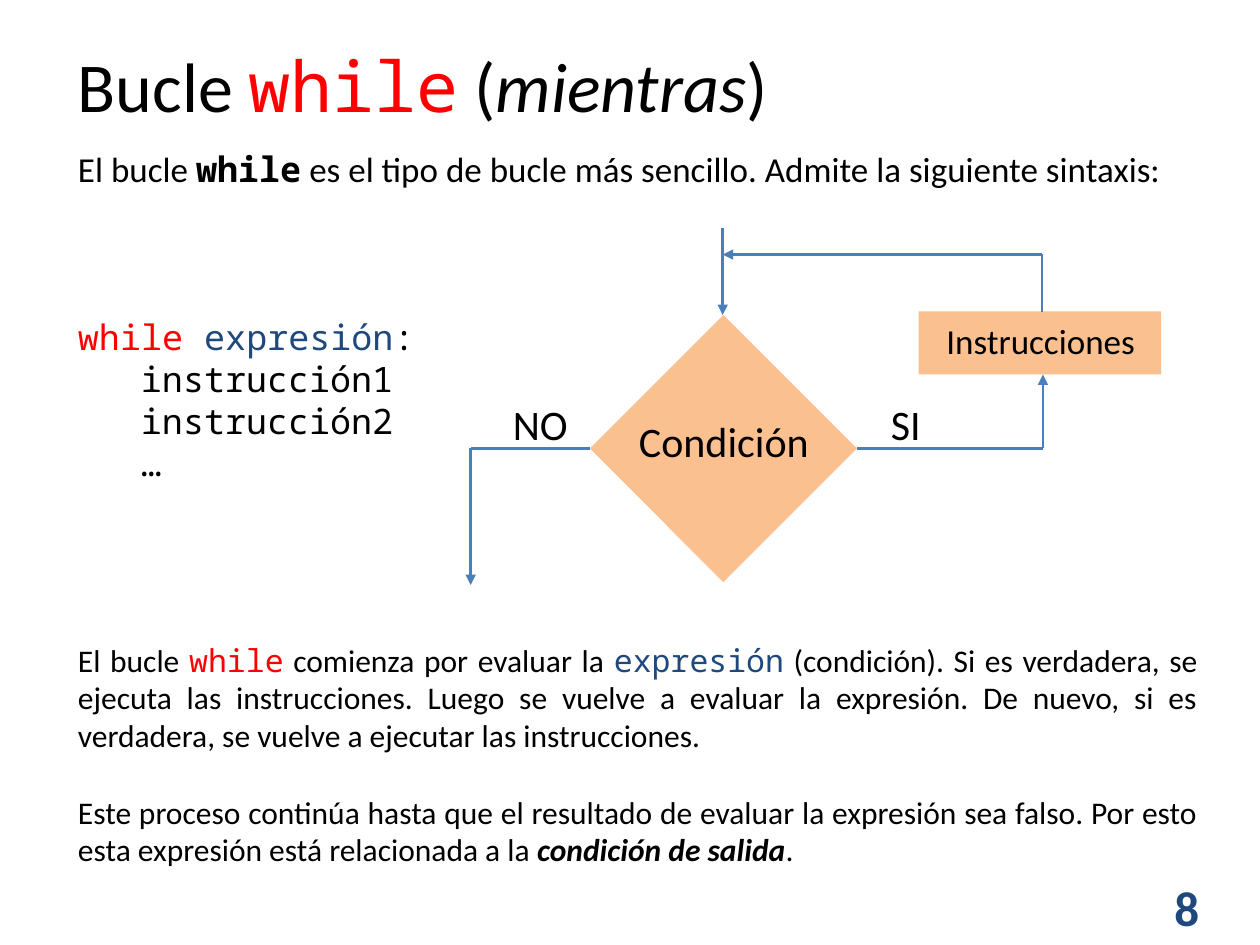
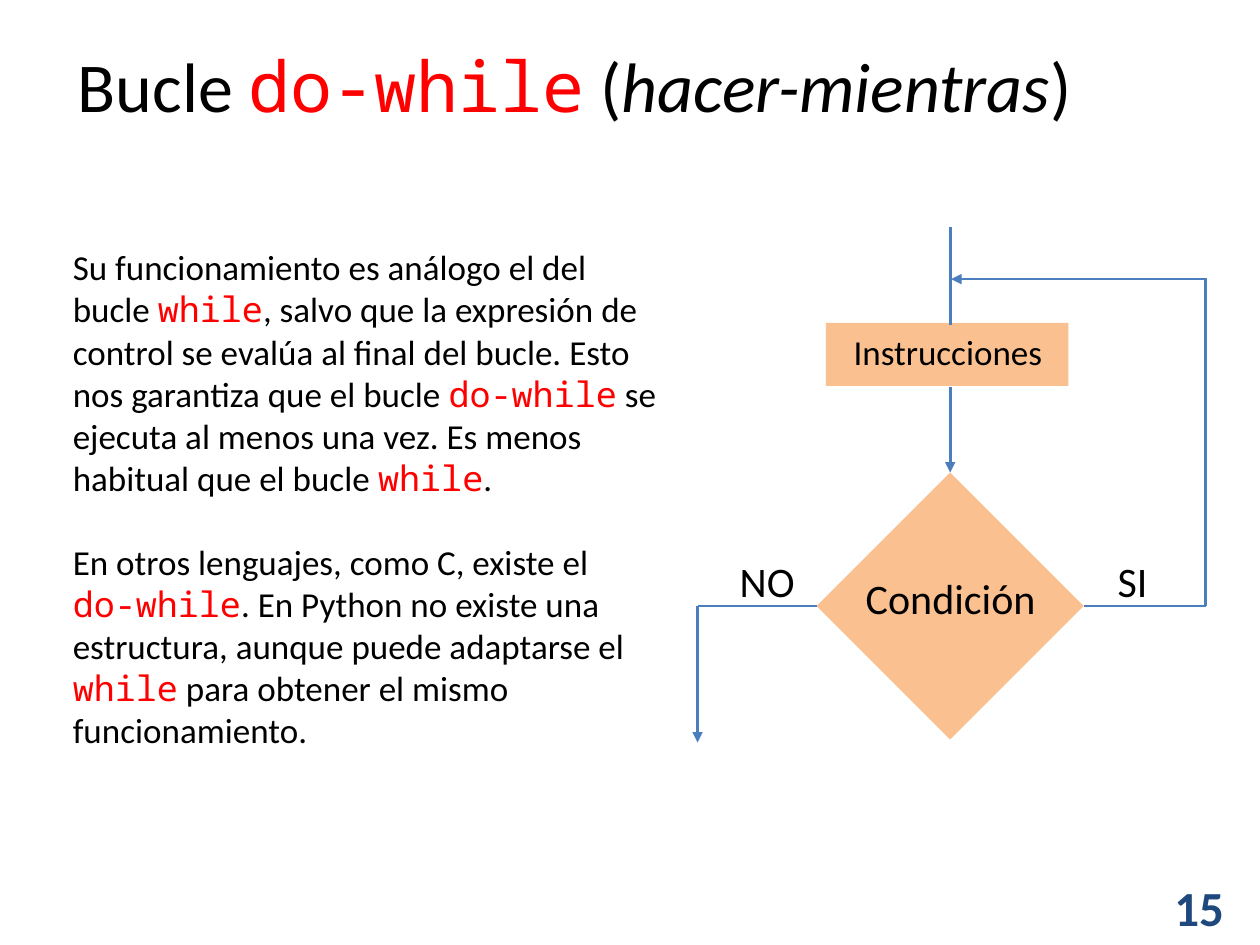
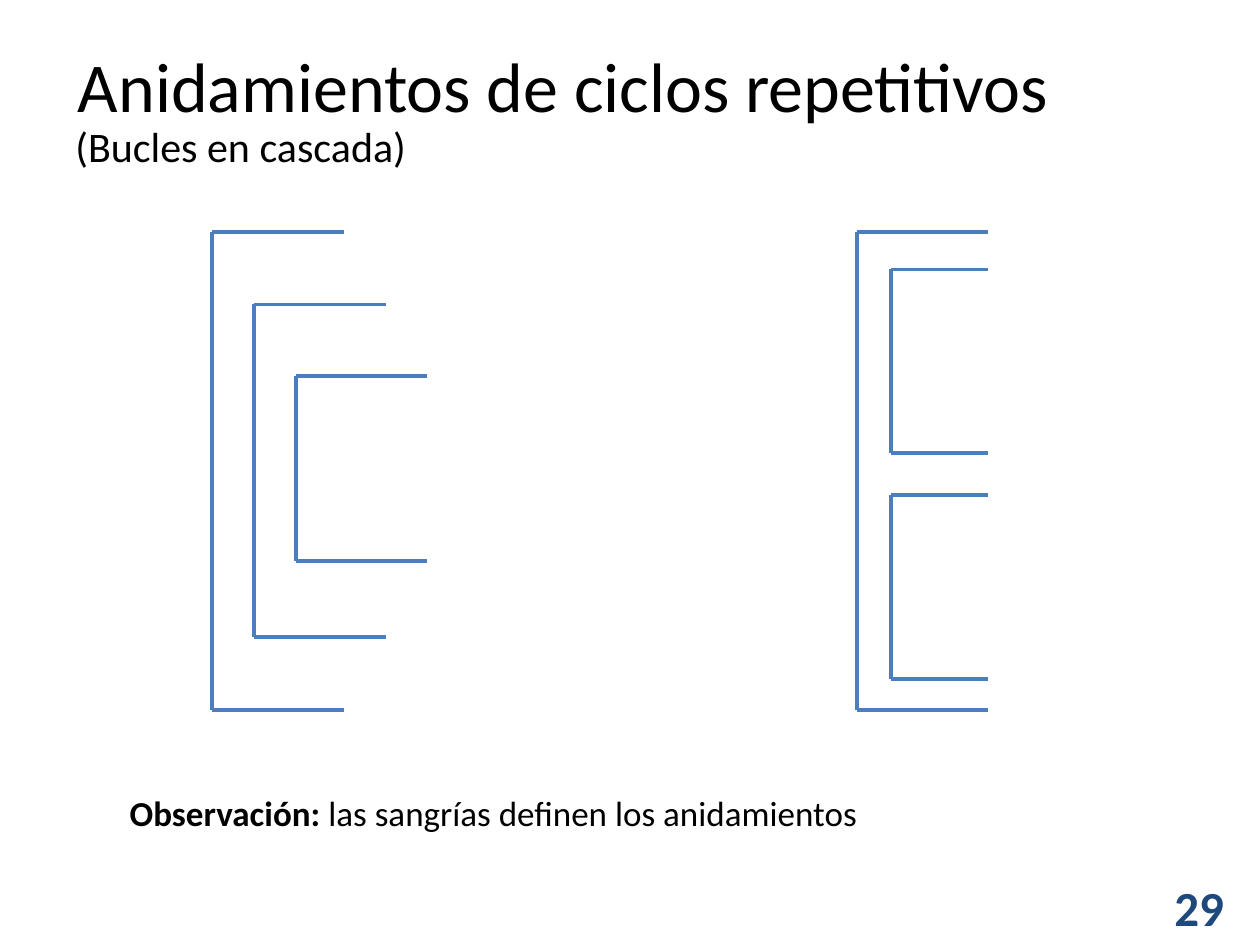
"""Build three slides about while loops, do-while loops and nested loops."""
from lxml import etree
from pptx import Presentation
from pptx import util as u
from pptx.dml.color import RGBColor
from pptx.enum import shapes, text
from pptx.oxml.ns import qn

Pt = u.Pt
COLORS = {"black": "000000", "red": "FF0000", "navy": "1F497D",
          "peach": "FAC090", "line": "4B7EBC"}
SANS, MONO = "Calibri", "Noto Sans Mono"
STYLES = {
    "plain": ("black", {"name": SANS}),
    "bold": ("black", {"name": SANS, "bold": True}),
    "italic": ("black", {"name": SANS, "italic": True}),
    "strong": ("black", {"name": SANS, "bold": True, "italic": True}),
    "code": ("black", {"name": MONO}),
    "codebold": ("black", {"name": MONO, "bold": True}),
    "keyword": ("red", {"name": MONO}),
    "expr": ("navy", {"name": MONO}),
    "number": ("navy", {"name": SANS, "bold": True}),
}


def add_text(s, box, paras, wrap=True):
    """Add a text box; each paragraph is (size, runs, format, left margin)."""
    tf = s.shapes.add_textbox(*map(Pt, box)).text_frame
    tf.word_wrap = wrap
    tf.auto_size = text.MSO_AUTO_SIZE.SHAPE_TO_FIT_TEXT
    for i, (size, runs, fmt, margin) in enumerate(paras):
        p = tf.add_paragraph() if i else tf.paragraphs[0]
        for key, value in fmt.items():
            setattr(p, key, value)
        if margin:
            p._p.get_or_add_pPr().set("marL", str(Pt(margin)))
        for words, style in runs:
            r = p.add_run()
            r.text = words
            color, font = STYLES[style]
            for key, value in font.items():
                setattr(r.font, key, value)
            r.font.size = Pt(size)
            r.font.color.rgb = RGBColor.from_string(COLORS[color])


def add_line(s, ends, width=1.5, arrow=False):
    """Draw a straight line, with an arrowhead at its end if asked."""
    cx = s.shapes.add_connector(shapes.MSO_CONNECTOR.STRAIGHT, *map(Pt, ends))
    cx.line.width = Pt(width)
    cx.line.color.rgb = RGBColor.from_string(COLORS["line"])
    if arrow:
        etree.SubElement(cx.line._get_or_add_ln(), qn("a:tailEnd"), type="triangle")
    etree.SubElement(cx._element.spPr, qn("a:effectLst"))


prs = Presentation()
prs.slide_width, prs.slide_height = Pt(720), Pt(540)

titles = [
    ("8", [("Bucle ", "plain"), ("while", "keyword"), (" (", "plain"),
           ("mientras", "italic"), (")", "plain")]),
    ("15", [("Bucle ", "plain"), ("do-while", "keyword"), (" (", "plain"),
            ("hacer-mientras", "italic"), (")", "plain")]),
    ("29", [("Anidamientos de ciclos repetitivos", "plain")]),
]
slides = []
for number, title in titles:
    s = prs.slides.add_slide(prs.slide_layouts[6])
    add_text(s, (664, 498, 51, 41), [(28, [(number, "number")], {}, 0)])
    add_text(s, (37.5, 21, 654, 55.5), [(40, title, {}, 0)])
    slides.append(s)
while_slide, do_slide, nested_slide = slides

justify = text.PP_ALIGN.JUSTIFY
add_text(while_slide, (37.5, 80.5, 654, 422), [
    (20, [("El bucle ", "plain"), ("while", "codebold"),
          (" es el tipo de bucle más sencillo. Admite la siguiente sintaxis:", "plain")], {}, 0),
    (20, [("while ", "keyword"), ("expresión", "expr"), (":", "code")],
     {"space_before": Pt(72)}, 0),
    *[(20, [(words, "code")], {}, 36) for words in ("instrucción1", "instrucción2", "…")],
    (18, [("El bucle ", "plain"), ("while", "keyword"),
          (" comienza por evaluar la ", "plain"), ("expresión", "expr"),
          (" (condición). Si es verdadera, se ejecuta las instrucciones. Luego se vuelve a "
           "evaluar la expresión. De nuevo, si es verdadera, se vuelve a ejecutar las "
           "instrucciones.", "plain")],
     {"space_before": Pt(90), "alignment": justify}, 0),
    (18, [("Este proceso continúa hasta que el resultado de evaluar la expresión sea falso. "
           "Por esto esta expresión está relacionada a la ", "plain"),
          ("condición de salida", "strong"), (".", "plain")],
     {"space_before": Pt(22), "alignment": justify}, 0),
])

add_text(do_slide, (34.5, 137, 348, 298), [
    (20, [("Su funcionamiento es análogo el del bucle ", "plain"), ("while", "keyword"),
          (", salvo que la expresión de control se evalúa al final del bucle. Esto nos "
           "garantiza que el bucle ", "plain"), ("do-while", "keyword"),
          (" se ejecuta al menos una vez. Es menos habitual que el bucle ", "plain"),
          ("while", "keyword"), (".", "plain")], {}, 0),
    (20, [("En otros lenguajes, como C, existe el ", "plain"), ("do-while", "keyword"),
          (". En Python no existe una estructura, aunque puede adaptarse el ", "plain"),
          ("while", "keyword"), (" para obtener el mismo funcionamiento.", "plain")],
     {"space_before": Pt(24)}, 0),
])

DIAMOND, BOX_W, BOX_H = 152.6, 138.5, 36
HALF = DIAMOND / 2
flows = [
    (while_slide, (337, 180), (525, 178), 596,
     [((413, 130.5, 413, 180), True), ((596, 256.3, 596, 214), True),
      ((595.5, 178.5, 595.5, 145), False), ((595.5, 145.5, 413, 145.5), True)]),
    (do_slide, (466.6, 270), (472, 184.5), 689,
     [((543, 221, 543, 270), True), ((689, 346.3, 689, 159), False),
      ((689, 159.5, 543.5, 159.5), True), ((543, 185.5, 543, 130), False)]),
]
for s, (x, y), (box_x, box_y), right, links in flows:
    mid = y + HALF
    for kind, box in ((shapes.MSO_SHAPE.DIAMOND, (x, y, DIAMOND, DIAMOND)),
                      (shapes.MSO_SHAPE.RECTANGLE, (box_x, box_y, BOX_W, BOX_H))):
        sp = s.shapes.add_shape(kind, *map(Pt, box))
        sp.shadow.inherit = False
        sp.fill.solid()
        sp.fill.fore_color.rgb = RGBColor.from_string(COLORS["peach"])
        sp.line.fill.background()
    for words, size, box in (("Condición", 24, (x + 21, y + 53.7, 112, 36)),
                             ("SI", 24, (x + 165, y + 44, 32, 36)),
                             ("NO", 24, (x - 51, y + 44, 48, 36)),
                             ("Instrucciones", 20, (box_x + 8.7, box_y + 1, 124, 31.5))):
        add_text(s, box, [(size, [(words, "plain")], {}, 0)], wrap=False)
    add_line(s, (x + DIAMOND, mid, right, mid))
    add_line(s, (x, mid, x - 68, mid))
    add_line(s, (x - 68, mid, x - 68, y + 154.3), arrow=True)
    for ends, arrow in links:
        add_line(s, ends, arrow=arrow)

brackets = [
    (121, 132.5, 196.5, 405.5), (145, 174, 220.5, 364), (169, 215, 244, 320.5),
    (489.5, 132.5, 564.5, 405.5), (509, 154, 564.5, 259), (509, 283, 564.5, 388),
]
for left, top, right, bottom in brackets:
    for ends in ((left, top, right, top), (left, top, left, bottom),
                 (left, bottom, right, bottom)):
        add_line(nested_slide, ends, 2.25)
add_text(nested_slide, (67, 448.5, 615, 31.5),
         [(20, [("Observación: ", "bold"),
                ("las sangrías definen los anidamientos", "plain")], {}, 0)])
add_text(nested_slide, (36, 65.5, 205, 36),
         [(24, [("(Bucles en cascada)", "plain")], {}, 0)], wrap=False)

prs.save("out.pptx")
